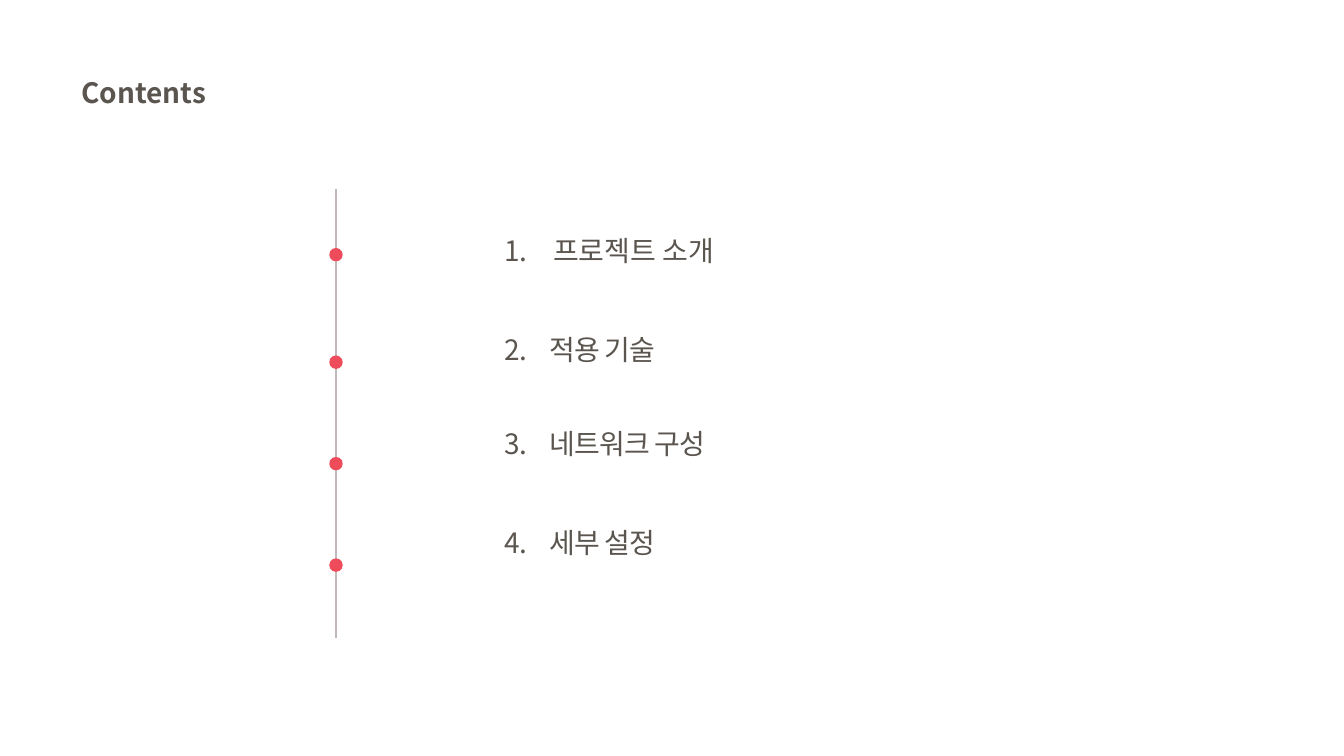
from lxml.etree import SubElement
from pptx import Presentation
from pptx.dml.color import RGBColor
from pptx.enum.shapes import MSO_CONNECTOR, MSO_SHAPE
from pptx.enum.text import MSO_ANCHOR, MSO_AUTO_SIZE, PP_ALIGN
from pptx.oxml.ns import qn
from pptx.util import Inches, Pt

COLORS = {"text": "5B554F", "line": "C0B8BB", "dot": "EE4C5A"}
FONT = "Noto Sans CJK KR"
AXIS_X = 5
DOT_SIZE = 0.2
DOT_TOPS = [3.69, 5.29, 6.8, 8.31]
CHAPTERS = [
    ("프로젝트 소개", 0, 0, 0.73),
    ("적용 기술", 70, -1, 0.68),
    ("네트워크 구성", 65, -1, 0.68),
    ("세부 설정", 70, -1, 0.68),
]


def write(paragraph, text, size=30, color="text", bold=False,
          align=PP_ALIGN.LEFT, before=0, tracking=0):
    paragraph.alignment = align
    paragraph.space_before = Pt(before)
    run = paragraph.add_run()
    run.text = text
    run.font.name = FONT
    run.font.size = Pt(size)
    run.font.bold = bold
    run.font.color.rgb = RGBColor.from_string(COLORS[color])
    properties = run.font._element
    SubElement(properties, qn("a:ea")).set("typeface", FONT)
    if tracking:
        properties.set("spc", str(tracking * 100))


class ContentsSlide:
    def __init__(self, deck):
        self.slide = deck.slides.add_slide(deck.slide_layouts[1])

    def place(self, holder, left, top, width, height):
        holder.left, holder.top = Inches(left), Inches(top)
        holder.width, holder.height = Inches(width), Inches(height)
        frame = holder.text_frame
        frame.word_wrap = True
        frame.auto_size = MSO_AUTO_SIZE.NONE
        frame.vertical_anchor = MSO_ANCHOR.TOP
        frame.margin_left = frame.margin_right = Inches(0.06)
        frame.margin_top = frame.margin_bottom = 0
        return frame

    def title(self, text, *box):
        frame = self.place(self.slide.shapes.title, *box)
        write(frame.paragraphs[0], text, bold=True, align=PP_ALIGN.JUSTIFY)

    def numbered_list(self, chapters, *box):
        frame = self.place(self.slide.placeholders[1], *box)
        for index, (chapter, before, tracking, indent) in enumerate(chapters):
            paragraph = frame.add_paragraph() if index else frame.paragraphs[0]
            write(paragraph, chapter, before=before, tracking=tracking)
            properties = paragraph._p.get_or_add_pPr()
            properties.set("marL", str(Inches(indent)))
            properties.set("indent", str(-Inches(indent)))
            SubElement(properties, qn("a:buFont")).set("typeface", FONT)
            SubElement(properties, qn("a:buAutoNum")).set("type", "arabicPeriod")

    def vertical_line(self, x, top, bottom):
        axis = self.slide.shapes.add_connector(
            MSO_CONNECTOR.STRAIGHT, Inches(x), Inches(top), Inches(x), Inches(bottom))
        axis.line.color.rgb = RGBColor.from_string(COLORS["line"])
        axis.line.width = Pt(2)
        SubElement(axis._element.spPr, qn("a:effectLst"))

    def dot(self, center_x, top):
        marker = self.slide.shapes.add_shape(
            MSO_SHAPE.OVAL, Inches(center_x - DOT_SIZE / 2), Inches(top),
            Inches(DOT_SIZE), Inches(DOT_SIZE))
        marker.shadow.inherit = False
        marker.fill.solid()
        marker.fill.fore_color.rgb = RGBColor.from_string(COLORS["dot"])
        marker.line.fill.background()


def main():
    deck = Presentation()
    deck.slide_width, deck.slide_height = Inches(20), Inches(11.25)
    contents = ContentsSlide(deck)
    contents.title("Contents", 1.15, 1.12, 4.66, 0.82)
    contents.vertical_line(AXIS_X, 2.82, 9.5)
    for top in DOT_TOPS:
        contents.dot(AXIS_X, top)
    contents.numbered_list(CHAPTERS, 7.44, 3.47, 3.62, 5.28)
    deck.save("out.pptx")


if __name__ == "__main__":
    main()
